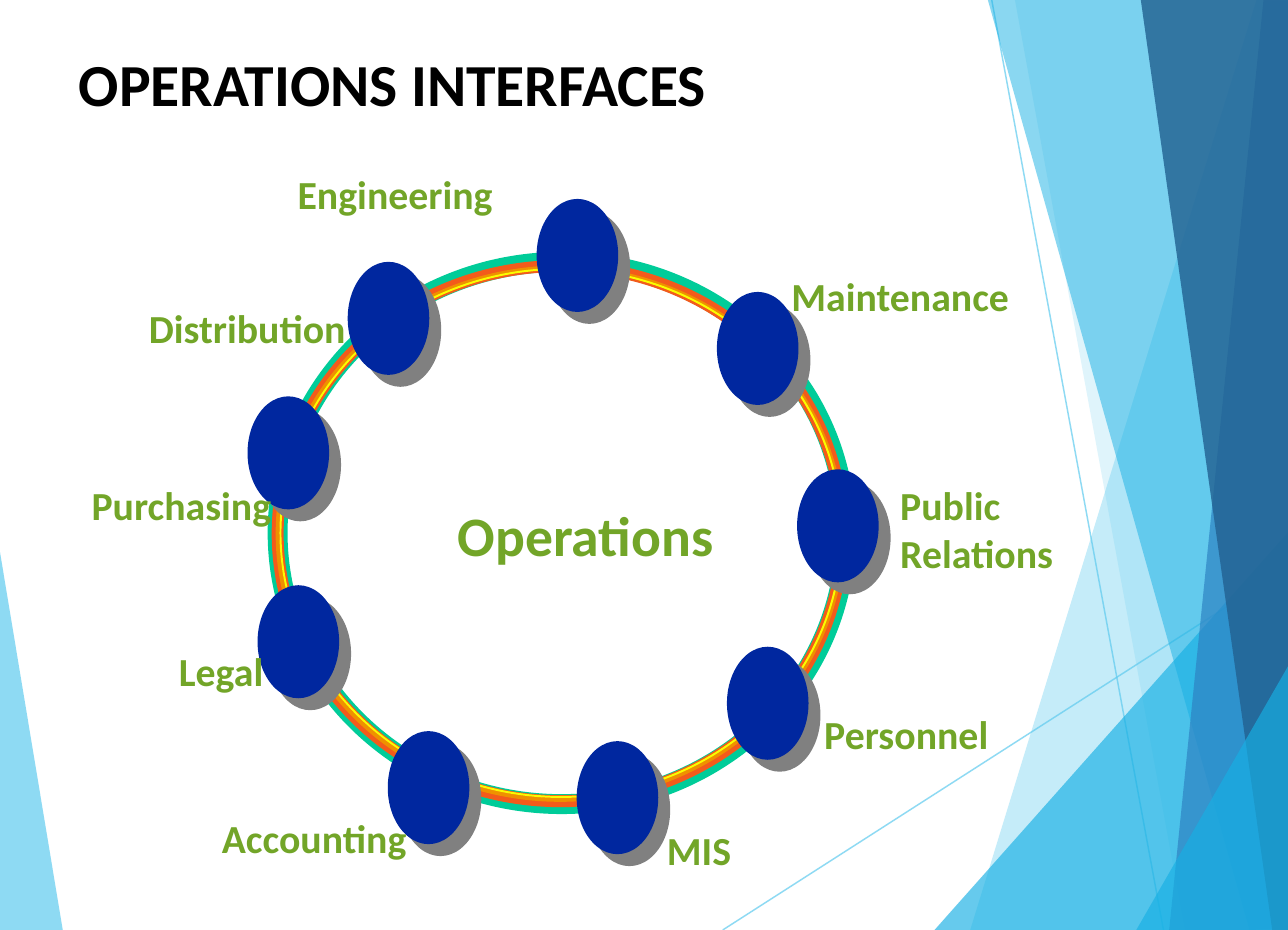
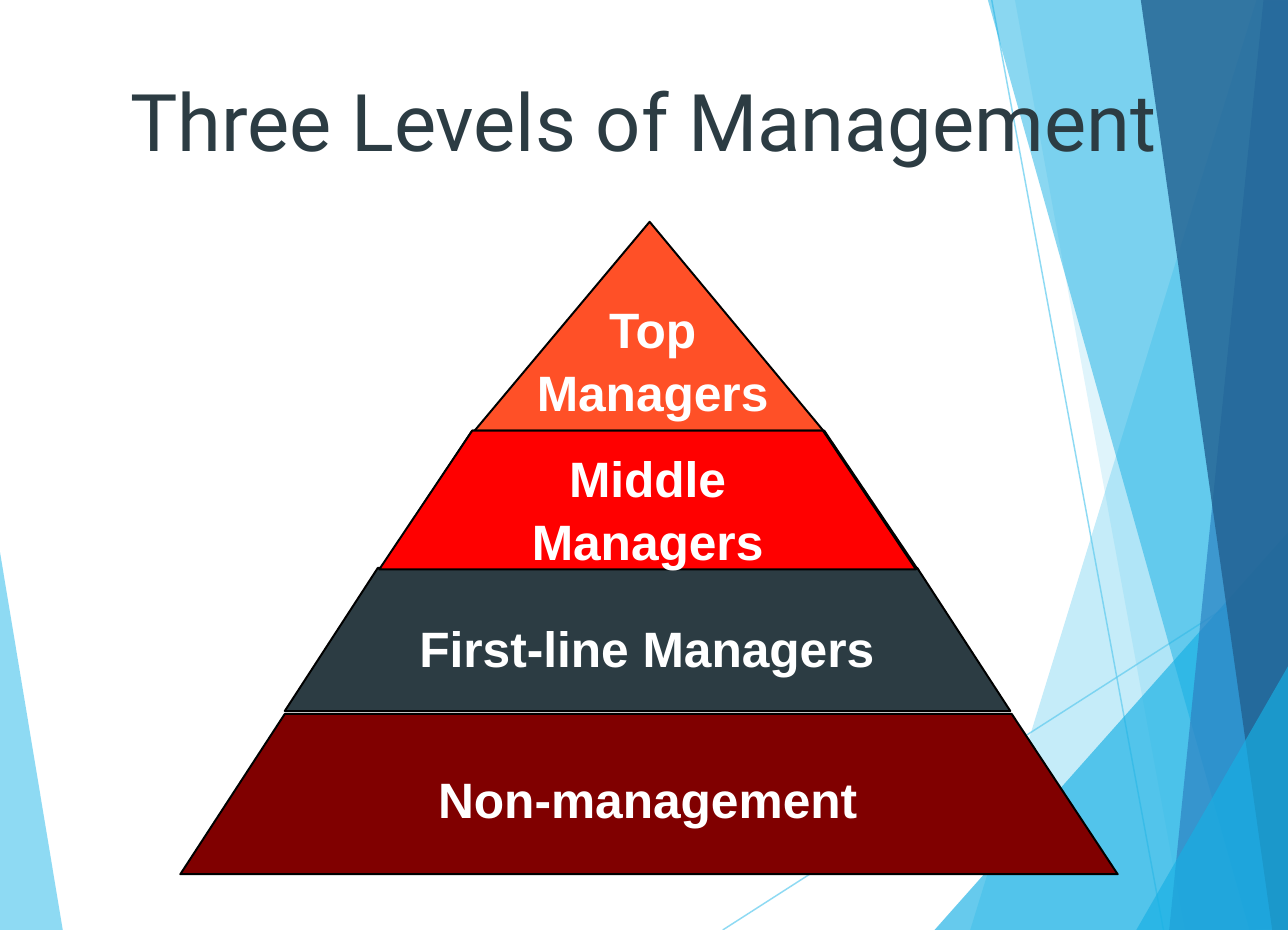
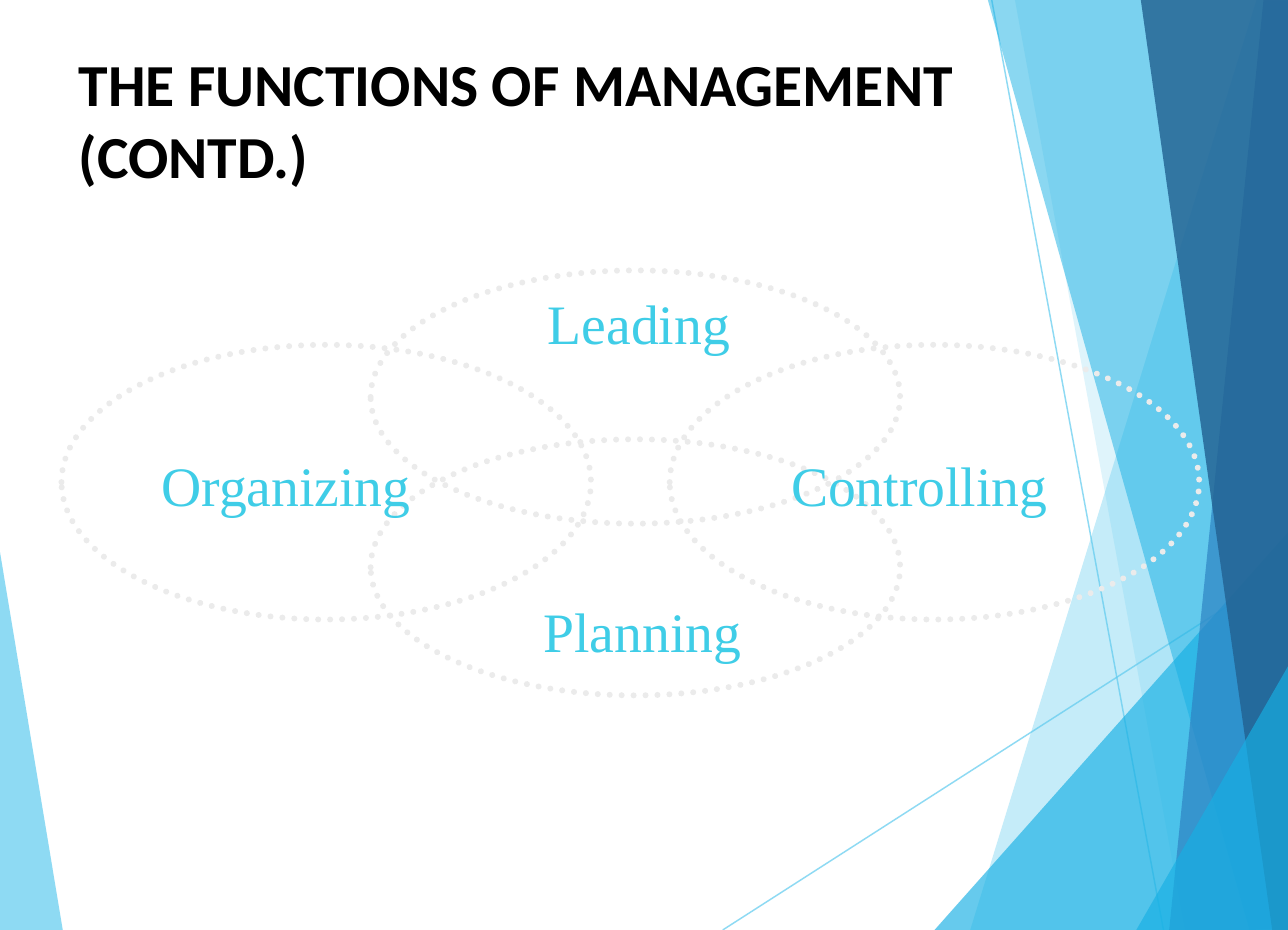
import pptx
import pptx.dml.color
import pptx.enum.dml
import pptx.enum.shapes
import pptx.enum.text
import pptx.oxml
import pptx.oxml.ns
import pptx.util
from lxml import etree

PX = 9144  # 100 px to the inch
WIDTH, HEIGHT = 900, 650
TITLE_BOX = (45, 28, 735, 68)
BLACK, WHITE, GREEN, CYAN = "000000", "FFFFFF", "72A528", "3FCDE7"
SLATE, NAVY, GREY, SILVER = "2C3C43", "00279F", "808080", "EBEBEB"
SKY, AZURE, BLUE, DEEP_BLUE = "5FCBEF", "17B0E4", "2E83C3", "236292"
ANCHOR = pptx.enum.text.MSO_ANCHOR
ALIGN = pptx.enum.text.PP_ALIGN

# Background facets: colour, opacity in percent, corners
LEFT_FACET = (SKY, 70, [(-1, 380), (44, 651), (-1, 650)])
RIGHT_FACETS = [
    (SKY, 36, [(878, 0), (678, 650), (902, 651), (901, 1)]),
    (SKY, 20, [(709, -1), (828, 650), (901, 650), (901, -1)]),
    (AZURE, 66, [(653, 650), (900, 372), (901, 650)]),
    (AZURE, 50, [(690, -1), (873, 650), (901, 649), (901, -1)]),
    (BLUE, 70, [(883, -1), (817, 650), (901, 650), (901, -1)]),
    (DEEP_BLUE, 82, [(797, -1), (889, 650), (902, 650), (900, -1)]),
    (AZURE, 66, [(794, 650), (901, 464), (902, 650)]),
]
FACET_LINES = [(505, 650, 901, 396), (693, 0, 813, 650)]

# Interfaces: colour, line width and box of each ring
RINGS = [
    ("00CC99", 10, (130, 64, 397, 379)),
    ("F35B1B", 6, (130, 67, 395, 374)),
    ("EF9100", 2, (130, 68, 395, 372)),
    ("FAFD00", 1, (132, 69, 392, 369)),
]
NODE_SIZE = (57, 79)
# Label, corner of its node, box of its text
INTERFACES = [
    ("Engineering", (311, 20), (144, 0, 136, 33)),
    ("Maintenance", (437, 85), (489, 71, 153, 33)),
    ("Public\vRelations", (493, 209), (565, 217, 108, 67)),
    ("Personnel", (444, 333), (512, 377, 116, 33)),
    ("MIS", (339, 399), (402, 458, 45, 33)),
    ("Accounting", (207, 392), (91, 450, 129, 33)),
    ("Legal", (116, 290), (61, 333, 60, 33)),
    ("Purchasing", (109, 158), (0, 217, 126, 33)),
    ("Distribution", (179, 64), (40, 93, 138, 33)),
]

# Pyramid tiers: fill, top and bottom, upper edge, lower edge
TIERS = [
    ("FF5027", (0, 148), (328, 328), (204, 451)),
    (None, (146, 244), (204, 450), (139, 516)),
    ("800000", (344, 456), (73, 581), (0, 655)),
    (SLATE, (242, 342), (138, 515), (73, 580)),
    ("FF0000", (146, 243), (204, 449), (139, 514)),
]
TIER_LABELS = [
    ("Top Managers", (229, 48, 202, 92)),
    ("Middle Managers", (178, 152, 297, 92)),
    ("First-line Managers", (149, 271, 354, 50)),
    ("Non-management", (84, 376, 485, 50)),
]

# Functions: label, ellipse, box of its text, wrapping
FUNCTIONS = [
    ("Planning", (216, 118, 370, 179), (327, 223, 158, 57), False),
    ("Leading", (216, 0, 370, 177), (330, 8, 151, 57), True),
    ("Controlling", (425, 52, 370, 192), (500, 121, 294, 57), True),
    ("Organizing", (0, 52, 370, 192), (60, 121, 215, 57), True),
]


def rgb(value):
    return pptx.dml.color.RGBColor.from_string(value)


def emu(*lengths):
    return [pptx.util.Emu(round(length * PX)) for length in lengths]


def within(origin, box):
    """Shift a box so that it counts from the given corner."""
    return (origin[0] + box[0], origin[1] + box[1], *box[2:])


def set_opacity(part, percent):
    for colour in part.element.spPr.iter(pptx.oxml.ns.qn("a:srgbClr")):
        etree.SubElement(colour, pptx.oxml.ns.qn("a:alpha"), val=str(percent * 1000))


def add_shadow(effects, colour, distance):
    effects.append(pptx.oxml.parse_xml(
        f'<a:outerShdw {pptx.oxml.ns.nsdecls("a")} dist="{pptx.util.Pt(distance)}" '
        f'dir="2700000" algn="ctr" rotWithShape="0"><a:srgbClr val="{colour}"/></a:outerShdw>'))


def paint(shape, fill=None, line=None, width=1):
    shape.shadow.inherit = False
    if fill:
        shape.fill.solid()
        shape.fill.fore_color.rgb = rgb(fill)
    else:
        shape.fill.background()
    if line:
        shape.line.color.rgb = rgb(line)
        shape.line.width = pptx.util.Pt(width)
    else:
        shape.line.fill.background()


def add_polygon(page, points, fill=None, line=None):
    builder = page.shapes.build_freeform(*points[0], scale=PX)
    builder.add_line_segments(points[1:], close=True)
    shape = builder.convert_to_shape()
    paint(shape, fill, line)
    return shape


def add_ellipse(page, box, fill=None, line=None, width=1):
    oval = pptx.enum.shapes.MSO_SHAPE.OVAL
    shape = page.shapes.add_shape(oval, *emu(*box))
    paint(shape, fill, line, width)
    return shape


def write(shape, text, font, size, colour, bold=False, align=ALIGN.LEFT,
          anchor=ANCHOR.TOP, insets=(10, 5), wrap=True, spacing=1.0):
    frame = shape.text_frame
    frame.word_wrap = wrap
    frame.auto_size = pptx.enum.text.MSO_AUTO_SIZE.NONE
    frame.vertical_anchor = anchor
    frame.margin_left = frame.margin_right = emu(insets[0])[0]
    frame.margin_top = frame.margin_bottom = emu(insets[1])[0]
    para = frame.paragraphs[0]
    para.text = text
    para.alignment = align
    para.line_spacing = spacing
    for span in para.runs:
        span.font.name = font
        span.font.size = pptx.util.Pt(size)
        span.font.bold = bold
        span.font.color.rgb = rgb(colour)


def add_label(page, box, *style, **options):
    write(page.shapes.add_textbox(*emu(*box)), *style, **options)


def place_title(page, box, *style, **options):
    title = page.shapes.title
    title.left, title.top, title.width, title.height = emu(*box)
    write(title, *style, **options)
    return title


def add_heading(page, text):
    place_title(page, TITLE_BOX, text, "Calibri", 30, BLACK, bold=True)


def add_facet(page, colour, opacity, points):
    facet = add_polygon(page, points, colour)
    set_opacity(facet, opacity)
    return facet


def add_facet_line(page, ends):
    straight = pptx.enum.shapes.MSO_CONNECTOR.STRAIGHT
    line = page.shapes.add_connector(straight, *emu(*ends))
    line.line.color.rgb = rgb(SKY)
    line.line.width = pptx.util.Pt(0.75)
    set_opacity(line, 70)
    etree.SubElement(line.element.spPr, pptx.oxml.ns.qn("a:effectLst"))
    return line


def move_facets_to_layout(page):
    """Draw the facets once and hand them to the layout all slides share."""
    parts = [add_facet(page, *LEFT_FACET)]
    parts += [add_facet_line(page, ends) for ends in FACET_LINES]
    parts += [add_facet(page, *facet) for facet in RIGHT_FACETS]
    for part in parts:
        page.slide_layout.shapes.element.append(part.element)


def draw_interfaces(page, origin):
    for colour, width, box in RINGS:
        add_ellipse(page, within(origin, box), line=colour, width=width)
    for _, corner, _ in INTERFACES:
        node = add_ellipse(page, within(origin, corner + NODE_SIZE), NAVY)
        add_shadow(node.element.spPr.find(pptx.oxml.ns.qn("a:effectLst")), GREY, 8.5)
    style = dict(bold=True, insets=(0, 0), wrap=False)
    for text, _, box in INTERFACES:
        add_label(page, within(origin, box), text, "Calibri", 20, GREEN, **style)
    hub = within(origin, (256, 231, 180, 47))
    add_label(page, hub, "Operations", "Calibri", 28, GREEN, **style)


def draw_pyramid(page, origin):
    for fill, (top, bottom), (upper_left, upper_right), (lower_left, lower_right) in TIERS:
        corners = [(lower_right, bottom), (upper_right, top),
                   (upper_left, top), (lower_left, bottom)]
        add_polygon(page, [within(origin, corner) for corner in corners], fill, BLACK)
    for text, box in TIER_LABELS:
        add_label(page, within(origin, box), text, "Arial", 25, WHITE, bold=True,
                  align=ALIGN.CENTER, insets=(9, 4), spacing=1.05)


def draw_functions(page, origin):
    for text, oval, box, wrap in FUNCTIONS:
        ellipse = add_ellipse(page, within(origin, oval), line=SILVER, width=3)
        ellipse.line.dash_style = pptx.enum.dml.MSO_LINE.ROUND_DOT
        ellipse.element.spPr.find(pptx.oxml.ns.qn("a:ln")).set("cap", "rnd")
        add_label(page, within(origin, box), text, "Times New Roman", 28, CYAN,
                  anchor=ANCHOR.MIDDLE, wrap=wrap)


def build_interfaces(page):
    add_heading(page, "OPERATIONS INTERFACES")
    draw_interfaces(page, (64, 119))


def build_levels(page):
    title = place_title(page, (34, 38, 831, 91), "Three Levels of Management",
                        "Roboto", 40, SLATE, align=ALIGN.CENTER,
                        anchor=ANCHOR.MIDDLE, insets=(9, 4))
    # Text shadow, which follows the fill of the run
    fill = title.element.find(".//" + pptx.oxml.ns.qn("a:rPr")).find(
        pptx.oxml.ns.qn("a:solidFill"))
    effects = etree.Element(pptx.oxml.ns.qn("a:effectLst"))
    fill.addnext(effects)
    add_shadow(effects, BLACK, 2)
    draw_pyramid(page, (126, 155))


def build_functions(page):
    add_heading(page, "THE FUNCTIONS OF MANAGEMENT (CONTD.)")
    draw_functions(page, (43, 189))


def main():
    deck = pptx.Presentation()
    deck.slide_width, deck.slide_height = emu(WIDTH, HEIGHT)
    layout = deck.slide_layouts.get_by_name("Title Only")
    builders = [build_interfaces, build_levels, build_functions]
    pages = [deck.slides.add_slide(layout) for _ in builders]
    move_facets_to_layout(pages[0])
    for build, page in zip(builders, pages):
        build(page)
    deck.save("out.pptx")


if __name__ == "__main__":
    main()
